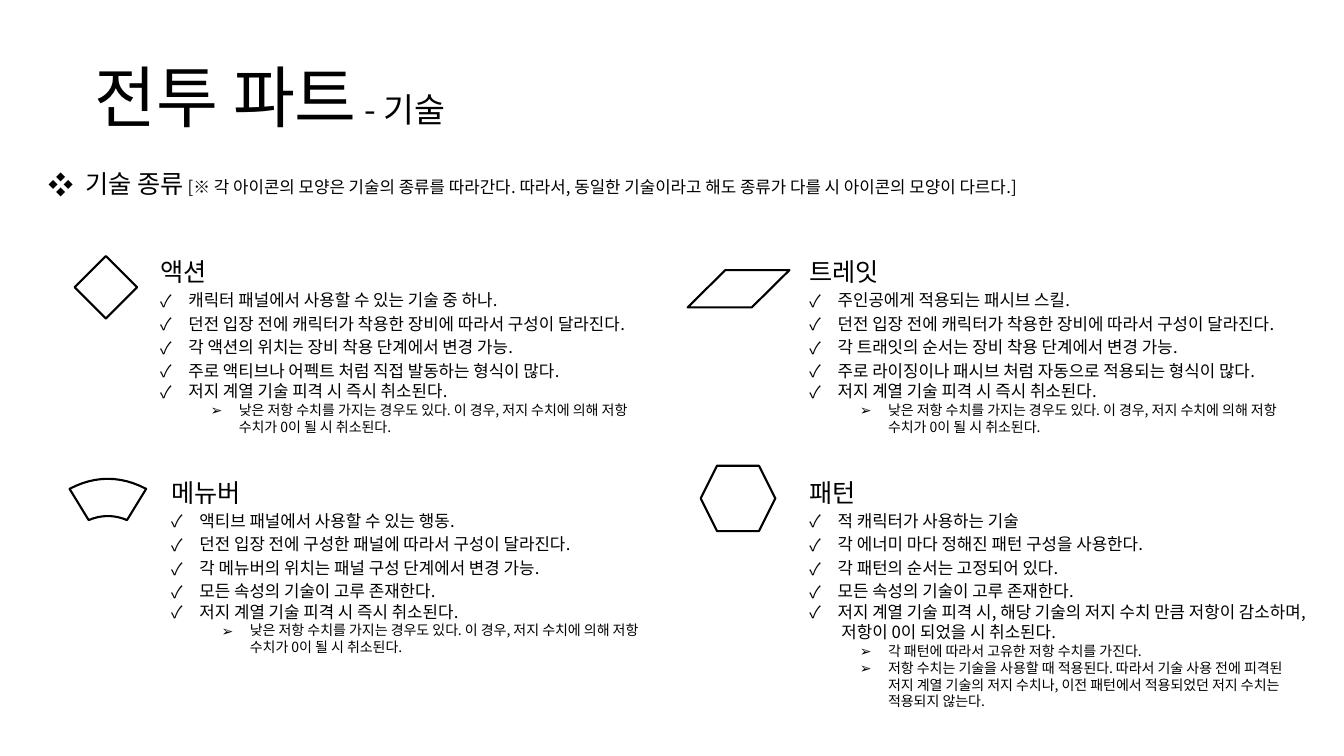
from lxml.etree import SubElement
from pptx import Presentation
from pptx.dml.color import RGBColor
from pptx.enum.shapes import MSO_SHAPE as Preset
from pptx.enum.text import MSO_ANCHOR as Anchor
from pptx.oxml.ns import qn
from pptx.util import Inches, Pt

FONT = "Noto Sans CJK KR"
INK = "000000"
LINE_RATIO = 1.21
POINT_GAP = 2.3

TITLE = [("전투 파트", 48), (" - 기술", 24)]
INTRO = [
    ("기술 종류", 18),
    (" [※ 각 아이콘의 모양은 기술의 종류를 따라간다. 따라서, 동일한 기술이라고 해도 "
     "종류가 다를 시 아이콘의 모양이 다르다.]", 12),
]
CANCELLED = "저지 계열 기술 피격 시 즉시 취소된다."
LOW_RESISTANCE = ("낮은 저항 수치를 가지는 경우도 있다. 이 경우, 저지 수치에 의해 저항 수치가 "
                  "0이 될 시 취소된다.")
BY_EQUIPMENT = "던전 입장 전에 캐릭터가 착용한 장비에 따라서 구성이 달라진다."
ALL_ATTRIBUTES = "모든 속성의 기술이 고루 존재한다."

# column, row, indent of the text, heading, points, details
SKILLS = [
    (0, 0, 0, "액션",
     ["캐릭터 패널에서 사용할 수 있는 기술 중 하나.",
      BY_EQUIPMENT,
      "각 액션의 위치는 장비 착용 단계에서 변경 가능.",
      "주로 액티브나 어펙트 처럼 직접 발동하는 형식이 많다.",
      CANCELLED],
     [LOW_RESISTANCE]),
    (1, 0, 0, "트레잇",
     ["주인공에게 적용되는 패시브 스킬.",
      BY_EQUIPMENT,
      "각 트래잇의 순서는 장비 착용 단계에서 변경 가능.",
      "주로 라이징이나 패시브 처럼 자동으로 적용되는 형식이 많다.",
      CANCELLED],
     [LOW_RESISTANCE]),
    (0, 1, 0.11, "메뉴버",
     ["액티브 패널에서 사용할 수 있는 행동.",
      "던전 입장 전에 구성한 패널에 따라서 구성이 달라진다.",
      "각 메뉴버의 위치는 패널 구성 단계에서 변경 가능.",
      ALL_ATTRIBUTES,
      CANCELLED],
     [LOW_RESISTANCE]),
    (1, 1, 0, "패턴",
     ["적 캐릭터가 사용하는 기술",
      "각 에너미 마다 정해진 패턴 구성을 사용한다.",
      "각 패턴의 순서는 고정되어 있다.",
      ALL_ATTRIBUTES,
      "저지 계열 기술 피격 시, 해당 기술의 저지 수치 만큼 저항이 감소하며, "
      "저항이 0이 되었을 시 취소된다."],
     ["각 패턴에 따라서 고유한 저항 수치를 가진다.",
      "저항 수치는 기술을 사용할 때 적용된다. 따라서 기술 사용 전에 피격된 저지 계열 "
      "기술의 저지 수치나, 이전 패턴에서 적용되었던 저지 수치는 적용되지 않는다."]),
]
COLUMN_LEFTS, ROW_TOPS = (1.49, 7.93), (2.49, 4.68)
SKILL_WIDTH, SKILL_HEIGHT = 5.2, 1.88
SKILL_RIGHT_MARGIN = 0.2

# preset, left, top, width, height, adjustment
ICONS = [
    (Preset.DIAMOND, 0.74, 2.54, 0.62, 0.62, None),
    (Preset.PARALLELOGRAM, 6.82, 2.68, 1.01, 0.37, 1.01),
    (Preset.HEXAGON, 6.95, 4.62, 0.74, 0.65, 0.25),
]
FAN_CENTRE = 1.07
# half width, height of the ends, rise of the middle
FAN_OUTER, FAN_INNER = (0.38, 4.85, 0.1), (0.19, 5.16, 0.04)
FAN_STEPS = 12


def color(hex_code):
    return RGBColor.from_string(hex_code)


def add_box(left, top, width, height):
    frame = slide.shapes.add_textbox(*map(Inches, (left, top, width, height))).text_frame
    frame.word_wrap = True
    return frame


def write(paragraph, runs):
    for words, size in runs:
        run = paragraph.add_run()
        run.text = words
        run.font.name, run.font.size = FONT, Pt(size)
        run.font.color.rgb = color(INK)
        SubElement(run.font._element, qn("a:ea")).set("typeface", FONT)


def set_line(paragraph, size):
    paragraph.line_spacing = Pt(round(size * LINE_RATIO, 1))


def add_bullet(paragraph, mark, indent, hang):
    props = paragraph._p.get_or_add_pPr()
    props.set("marL", str(Inches(indent)))
    props.set("indent", str(-Inches(hang)))
    SubElement(props, qn("a:buFont")).set("typeface", FONT)
    SubElement(props, qn("a:buChar")).set("char", mark)


def add_skill(column, row, shift, heading, points, details):
    frame = add_box(COLUMN_LEFTS[column] + shift, ROW_TOPS[row], SKILL_WIDTH, SKILL_HEIGHT)
    frame.margin_right = Inches(SKILL_RIGHT_MARGIN)
    write(frame.paragraphs[0], [(heading, 18)])
    set_line(frame.paragraphs[0], 18)
    for number, point in enumerate(points, 1):
        paragraph = frame.add_paragraph()
        write(paragraph, [(point, 12)])
        set_line(paragraph, 12)
        paragraph.space_before = Pt(POINT_GAP if number < len(points) else 0)
        add_bullet(paragraph, "✓", 0.28, 0.28)
    for detail in details:
        paragraph = frame.add_paragraph()
        paragraph.level = 1
        write(paragraph, [(detail, 10)])
        set_line(paragraph, 10)
        add_bullet(paragraph, "➢", 0.78, 0.28)


def outline(icon):
    icon.shadow.inherit = False
    icon.fill.background()
    icon.line.color.rgb = color(INK)
    icon.line.width = Pt(1.5)


def arc(half_width, end_height, rise):
    """Points of a shallow arch from left to right."""
    shares = [2 * step / FAN_STEPS - 1 for step in range(FAN_STEPS + 1)]
    return [(Inches(FAN_CENTRE + half_width * share),
             Inches(end_height - rise * (1 - share ** 2)))
            for share in shares]


deck = Presentation()
deck.slide_width, deck.slide_height = Inches(13.33), Inches(7.5)
slide = deck.slides.add_slide(deck.slide_layouts[6])

title = add_box(0.84, 0.36, 7.64, 1.17)
title.vertical_anchor = Anchor.MIDDLE
write(title.paragraphs[0], TITLE)

intro = add_box(0.38, 1.62, 11.72, 0.4).paragraphs[0]
write(intro, INTRO)
set_line(intro, 18)
add_bullet(intro, "❖", 0.37, 0.37)

for skill in SKILLS:
    add_skill(*skill)

for preset, left, top, width, height, adjustment in ICONS:
    icon = slide.shapes.add_shape(preset, *map(Inches, (left, top, width, height)))
    if adjustment is not None:
        icon.adjustments[0] = adjustment
    outline(icon)

fan_start, *fan_rest = arc(*FAN_OUTER) + arc(*FAN_INNER)[::-1]
fan = slide.shapes.build_freeform(*fan_start)
fan.add_line_segments(fan_rest, close=True)
outline(fan.convert_to_shape())

deck.save("out.pptx")
